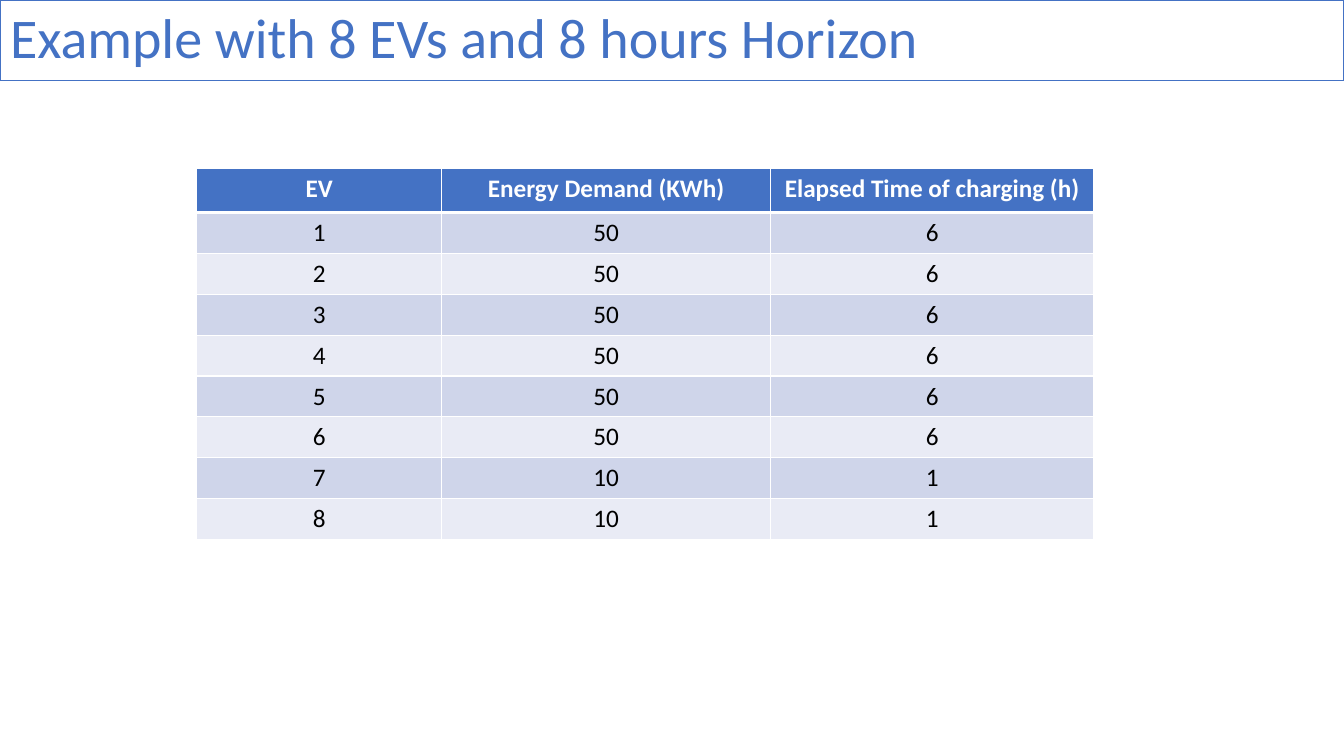
import pptx
import pptx.util
import pptx.dml.color
import pptx.enum.text
import pptx.oxml
import pptx.oxml.ns

TITLE = "Example with 8 EVs and 8 hours Horizon"
HEADER = ("EV", "Energy Demand (KWh)", "Elapsed Time of charging (h)")
VEHICLES = [
    (1, 50, 6),
    (2, 50, 6),
    (3, 50, 6),
    (4, 50, 6),
    (5, 50, 6),
    (6, 50, 6),
    (7, 10, 1),
    (8, 10, 1),
]

Pt = pptx.util.Pt
RGBColor = pptx.dml.color.RGBColor
BLUE = RGBColor(0x44, 0x72, 0xC4)
WHITE = RGBColor(0xFF, 0xFF, 0xFF)
BLACK = RGBColor(0x00, 0x00, 0x00)
BANDS = (RGBColor(0xCF, 0xD5, 0xEA), RGBColor(0xE9, 0xEB, 0xF5))
FONT = "Calibri"

PAGE_WIDTH, PAGE_HEIGHT = 960, 540
TITLE_HEIGHT = 57.6
TABLE_LEFT, TABLE_TOP = 140.6, 120.3
COLUMN_WIDTHS = (174.8, 235.2, 230.6)
HEADER_HEIGHT, ROW_HEIGHT = 31.5, 29.2


def style_font(para, size, color, bold=False):
    para.font.name = FONT
    para.font.size = Pt(size)
    para.font.bold = bold
    para.font.color.rgb = color


def add_borders(cell, bottom_width):
    properties = cell._tc.get_or_add_tcPr()
    for side, width in (("L", 1), ("R", 1), ("T", 1), ("B", bottom_width)):
        properties.append(pptx.oxml.parse_xml(
            f'<a:ln{side} {pptx.oxml.ns.nsdecls("a")} w="{Pt(width)}">'
            f'<a:solidFill><a:srgbClr val="{WHITE}"/></a:solidFill></a:ln{side}>'
        ))


def add_title(page):
    title = page.shapes.title
    title.left, title.top = Pt(0), Pt(0)
    title.width, title.height = Pt(PAGE_WIDTH), Pt(TITLE_HEIGHT)
    title.fill.solid()
    title.fill.fore_color.rgb = WHITE
    title.line.color.rgb = BLUE
    title.line.width = Pt(1)
    frame = title.text_frame
    frame.text = TITLE
    frame.word_wrap = True
    frame.auto_size = pptx.enum.text.MSO_AUTO_SIZE.NONE
    frame.vertical_anchor = pptx.enum.text.MSO_ANCHOR.MIDDLE
    para = frame.paragraphs[0]
    para.alignment = pptx.enum.text.PP_ALIGN.LEFT
    para.line_spacing = 0.9
    style_font(para, 40, BLUE)


def add_vehicle_table(page):
    rows = [HEADER] + VEHICLES
    heights = [HEADER_HEIGHT] + [ROW_HEIGHT] * len(VEHICLES)
    table = page.shapes.add_table(
        len(rows), len(HEADER), Pt(TABLE_LEFT), Pt(TABLE_TOP),
        Pt(sum(COLUMN_WIDTHS)), Pt(sum(heights)),
    ).table
    for column, width in zip(table.columns, COLUMN_WIDTHS):
        column.width = Pt(width)
    for index, (values, height) in enumerate(zip(rows, heights)):
        table.rows[index].height = Pt(height)
        is_header = index == 0
        for cell, value in zip(table.rows[index].cells, values):
            add_borders(cell, 3 if is_header else 1)
            cell.fill.solid()
            cell.fill.fore_color.rgb = BLUE if is_header else BANDS[(index - 1) % 2]
            cell.text = str(value)
            para = cell.text_frame.paragraphs[0]
            para.alignment = pptx.enum.text.PP_ALIGN.CENTER
            style_font(para, 18, WHITE if is_header else BLACK, is_header)


def main():
    deck = pptx.Presentation()
    deck.slide_width, deck.slide_height = Pt(PAGE_WIDTH), Pt(PAGE_HEIGHT)
    page = deck.slides.add_slide(deck.slide_layouts.get_by_name("Title Only"))
    add_title(page)
    add_vehicle_table(page)
    deck.save("out.pptx")


if __name__ == "__main__":
    main()
